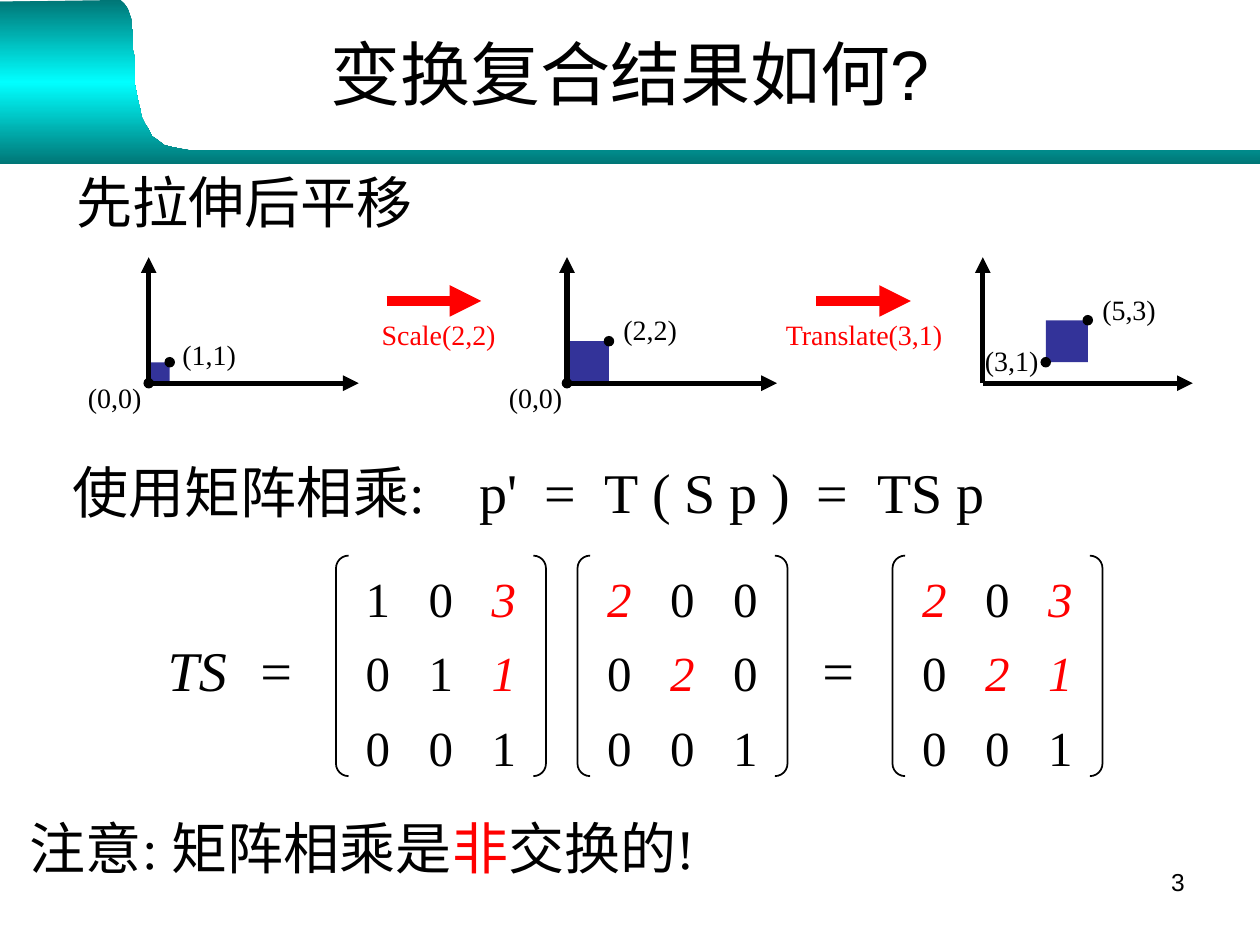
"""Build the slide on composing a scale with a translation."""
from copy import deepcopy

from lxml import etree
from pptx import Presentation
from pptx.dml.color import RGBColor
from pptx.enum.shapes import MSO_CONNECTOR, MSO_SHAPE
from pptx.enum.text import MSO_ANCHOR, PP_ALIGN
from pptx.oxml.ns import qn
from pptx.util import Pt

RECT, OVAL, PAIR = MSO_SHAPE.RECTANGLE, MSO_SHAPE.OVAL, MSO_SHAPE.DOUBLE_BRACKET
LINE, CENTRE = MSO_CONNECTOR.STRAIGHT, MSO_ANCHOR.MIDDLE
LEFT, MID, RIGHT = PP_ALIGN.LEFT, PP_ALIGN.CENTER, PP_ALIGN.RIGHT
SERIF, SANS = "Times New Roman", "Arial"
BLACK, RED, BLUE, TEAL, CYAN = "000000", "FF0000", "333399", "007676", "00FFFF"

TITLE = "变换复合结果如何?"
HEADS = [
    (["先拉伸后平移"], (36.7, 92.2, 207, 46), ()),
    (["使用矩阵相乘:\tp'\t=\tT ( S p )\t=\tTS p"], (34.6, 257.8, 540, 46),
     (232.5, 269.5, 304, 425, 459.5)),
    (["注意: 矩阵相乘是", "非", "交换的!"], (10, 461.5, 425, 46), ()),
]
PLOTS = [
    (85, (0, 0), (1, 1), [("(0,0)", 43.2, 213.8), ("(1,1)", 97.2, 189.4)]),
    (324, (0, 0), (2, 2), [("(0,0)", 283.7, 213.8), ("(2,2)", 349.2, 175)]),
    (561.6, (3, 1), (5, 3), [("(3,1)", 555.8, 193), ("(5,3)", 622.8, 163.4)]),
]
STEPS = [("Scale(2,2)", 211, 89, 221), ("Translate(3,1)", 442, 113, 466.5)]
GRIDS = [
    (192, ["103", "011", "001"], {(0, 2), (1, 2)}),
    (330, ["200", "020", "001"], {(0, 0), (1, 1)}),
    (510, ["203", "021", "001"], {(0, 0), (1, 1), (0, 2), (1, 2)}),
]
SIGNS = [("TS\t=", 95.8, 90, (51,)), ("=", 468, 30, ())]
BASE, UNIT, DOT = 219, 12, 6


def pts(*nums):
    return [Pt(num) for num in nums]


def tint(code):
    return RGBColor.from_string(code)


def style(para, size, face=SERIF, color=BLACK, slant=False, align=LEFT):
    para.alignment = align
    font = para.font
    font.size, font.name, font.italic = Pt(size), face, slant
    font.color.rgb = tint(color)


def stops(para, marks):
    tabs = etree.SubElement(para._p.get_or_add_pPr(), qn("a:tabLst"))
    for mark in marks:
        etree.SubElement(tabs, qn("a:tab"), pos=str(Pt(mark)), algn="l")


def frame(slide, box, pad=True):
    body = slide.shapes.add_textbox(*pts(*box)).text_frame
    body.word_wrap = True
    if not pad:
        body.margin_left = body.margin_right = 0
        body.margin_top = body.margin_bottom = 0
    return body


def write(slide, text, box, size, pad=True, marks=(), **look):
    para = frame(slide, box, pad).paragraphs[0]
    para.text = text
    if marks:
        stops(para, marks)
    style(para, size, **look)


def solid(slide, kind, box, color):
    shape = slide.shapes.add_shape(kind, *pts(*box))
    shape.shadow.inherit = False
    shape.fill.solid()
    shape.fill.fore_color.rgb = tint(color)
    shape.line.fill.background()


def arrow(slide, ends, color, width):
    link = slide.shapes.add_connector(LINE, *pts(*ends))
    link.line.color.rgb = tint(color)
    link.line.width = Pt(width)
    props = link.element.spPr
    etree.SubElement(props.find(qn("a:ln")), qn("a:tailEnd"), type="triangle")
    etree.SubElement(props, qn("a:effectLst"))


def curve(ends, steps=24):
    for step in range(steps + 1):
        t = step / steps
        parts = ((1 - t) ** 3, 3 * t * (1 - t) ** 2, 3 * t * t * (1 - t), t ** 3)
        yield tuple(round(sum(k * end[axis] for k, end in zip(parts, ends)), 2)
                    for axis in (0, 1))


def banner(slide):
    bend = curve([(69, 0), (87, 14.4), (60, 85.7), (109, 85.7)])
    pen = slide.shapes.build_freeform(720, 94.3, scale=Pt(1))
    pen.add_line_segments([(0, 94.3), (0, 0.7), *bend, (720, 85.7)])
    band = pen.convert_to_shape()
    band.shadow.inherit = False
    band.line.fill.background()
    band.fill.gradient()
    band.fill.gradient_angle = 90
    shades = band.element.spPr.find(".//" + qn("a:gsLst"))
    shades.append(deepcopy(shades[0]))
    for stop, place, color in zip(band.fill.gradient_stops, (0, 0.5, 1),
                                  (TEAL, CYAN, TEAL)):
        stop.position = place
        stop.color.rgb = tint(color)
    slide.shapes.title.element.addprevious(band.element)


def plot(slide, left, low, high, labels):
    spots = [(left + u * UNIT, BASE - v * UNIT) for u, v in (low, high)]
    (x1, y1), (x2, y2) = spots
    solid(slide, RECT, (x1, y2, x2 - x1, y1 - y2), BLUE)
    for x, y in spots:
        solid(slide, OVAL, (x - DOT / 2, y - DOT / 2, DOT, DOT), BLACK)
    for text, x, y in labels:
        write(slide, text, (x, y, 47, 26.6), 16)
    arrow(slide, (left, BASE, left, BASE - 72), BLACK, 3)
    arrow(slide, (left, BASE, left + 120, BASE), BLACK, 3)


def matrix(slide, left, rows, reds):
    edge = slide.shapes.add_shape(PAIR, *pts(left, 317.5, 120, 126))
    edge.shadow.inherit = False
    edge.adjustments[0] = 0.06
    edge.fill.background()
    edge.line.color.rgb = tint(BLACK)
    edge.line.width = Pt(1)
    for col, cells in enumerate(zip(*rows)):
        body = frame(slide, (left + 6 + 36 * col, 325, 36, 117), False)
        for row, cell in enumerate(cells):
            para = body.add_paragraph() if row else body.paragraphs[0]
            para.text = cell
            para.space_after = Pt(8.8)
            hot = (row, col) in reds
            style(para, 28, color=RED if hot else BLACK, slant=hot, align=MID)


def heading(slide, parts, box, marks):
    para = frame(slide, box).paragraphs[0]
    if marks:
        stops(para, marks)
    style(para, 32)
    for part in parts:
        run = para.add_run()
        run.text = part
        if part == "非":
            run.font.color.rgb = tint(RED)


def main():
    deck = Presentation()
    deck.slide_width, deck.slide_height = pts(720, 540)
    slide = deck.slides.add_slide(deck.slide_layouts[5])
    title = slide.shapes.title
    title.left, title.top, title.width, title.height = pts(36, 0, 648, 83)
    title.text_frame.text = TITLE
    title.text_frame.vertical_anchor = CENTRE
    style(title.text_frame.paragraphs[0], 40, SANS, align=MID)
    banner(slide)
    for item in PLOTS:
        plot(slide, *item)
    for text, left, width, start in STEPS:
        write(slide, text, (left, 177.8, width, 26.6), 16, color=RED)
        arrow(slide, (start, 172, start + 54, 172), RED, 6)
    for grid in GRIDS:
        matrix(slide, *grid)
    for text, left, width, marks in SIGNS:
        write(slide, text, (left, 363, width, 38), 32, False, marks, slant=True)
    for item in HEADS:
        heading(slide, *item)
    write(slide, "3", (516, 492, 168, 37), 14, face=SANS, align=RIGHT)
    deck.save("out.pptx")


if __name__ == "__main__":
    main()
